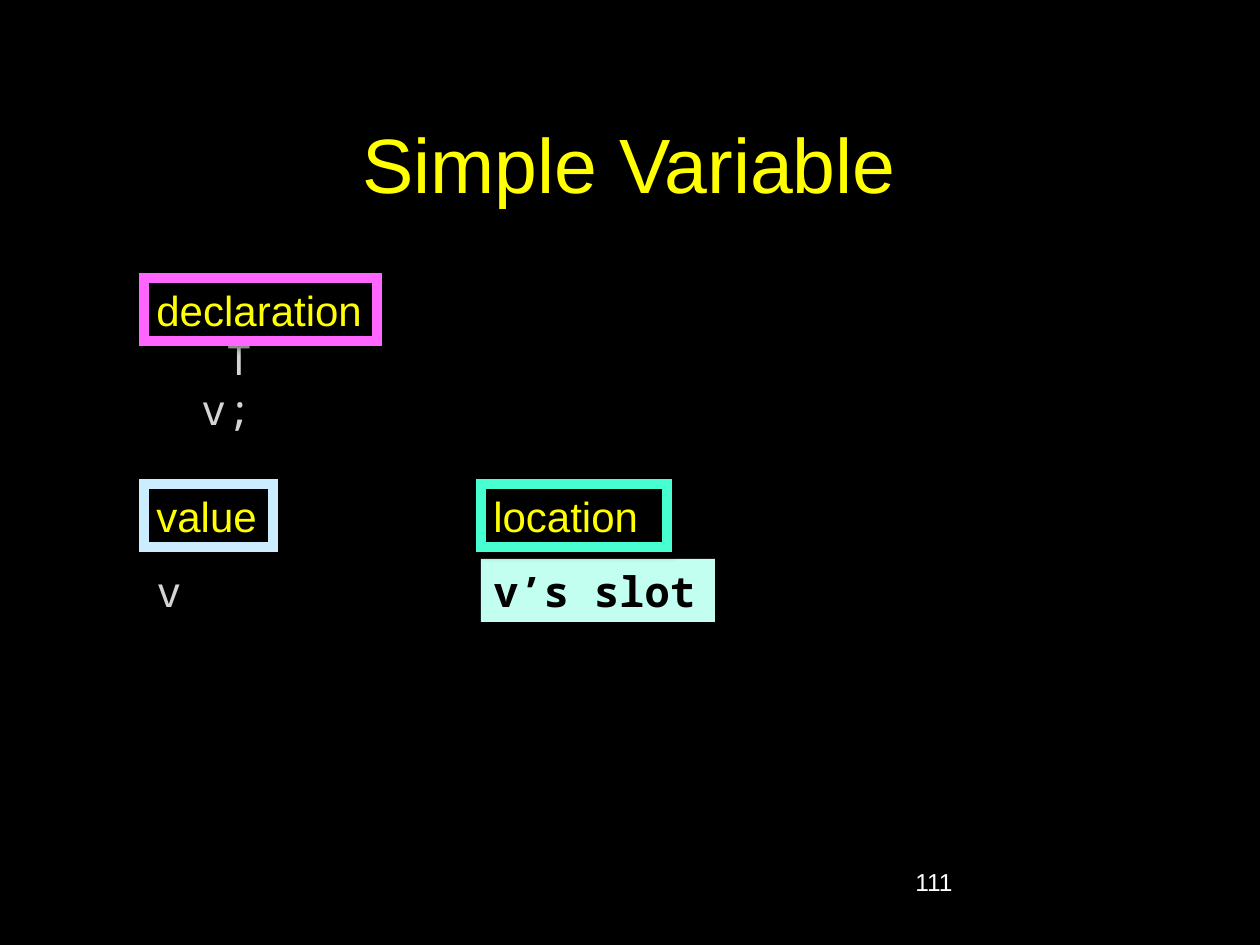
from dataclasses import dataclass

from lxml.etree import SubElement
from pptx import Presentation
from pptx.dml.color import RGBColor
from pptx.enum.shapes import MSO_SHAPE as Shape
from pptx.enum.text import MSO_ANCHOR as Anchor, PP_ALIGN as Align
from pptx.oxml import parse_xml
from pptx.oxml.ns import nsdecls, qn
from pptx.util import Emu, Pt

EMU_PER_PX = 914400 / 126


@dataclass(frozen=True)
class Theme:
    background: str = "000000"
    heading: str = "FFFF00"
    code: str = "D4D4D4"
    number: str = "FFFFFF"
    slot_fill: str = "C2FFF0"
    slot_text: str = "000000"
    declaration: str = "FF66FF"
    value: str = "CCECFF"
    location: str = "47FFD1"
    sans: str = "Arial"
    mono: str = "Noto Sans Mono"
    title_size: int = 44
    text_size: int = 24
    number_size: int = 14
    border: int = 6


THEME = Theme()
LEFT, RIGHT = 144, 481
DECLARATION_Y, DECLARATION_CODE_Y, HEADING_Y, CODE_Y = 278, 352, 484, 559
BOX_H = 63


@dataclass(frozen=True)
class Heading:
    text: str
    x: int
    y: int
    w: int
    border: str
    wrap: bool = True


@dataclass(frozen=True)
class Code:
    text: str
    x: int
    y: int
    w: int
    fill: str = THEME.background
    color: str = THEME.code
    bold: bool = False
    align: Align = Align.LEFT


CODES = [
    Code("v’s slot", RIGHT, CODE_Y, 234, THEME.slot_fill, THEME.slot_text, bold=True),
    Code("T v;", LEFT, DECLARATION_CODE_Y, 120, align=Align.RIGHT),
    Code("v", LEFT, CODE_Y, 58),
]
HEADINGS = [
    Heading("location", RIGHT, HEADING_Y, 186, THEME.location),
    Heading("declaration", LEFT, DECLARATION_Y, 233, THEME.declaration, wrap=False),
    Heading("value", LEFT, HEADING_Y, 129, THEME.value),
]


def px(n: int) -> Emu:
    return Emu(round(n * EMU_PER_PX))


def rgb(color: str) -> RGBColor:
    return RGBColor.from_string(color)


def write(tf, text: str, *, color: str, size: int = THEME.text_size,
          font: str = THEME.sans, bold: bool = False, align: Align = Align.LEFT,
          anchor: Anchor = Anchor.TOP, wrap: bool = True) -> None:
    tf.word_wrap = wrap
    tf.vertical_anchor = anchor
    p = tf.paragraphs[0]
    p.alignment = align
    r = p.add_run()
    r.text = text
    r.font.name = font
    r.font.size = Pt(size)
    r.font.bold = bold
    r.font.color.rgb = rgb(color)


def add_box(s, x: int, y: int, w: int, fill: str):
    sp = s.shapes.add_shape(Shape.RECTANGLE, px(x), px(y), px(w), px(BOX_H))
    sp.shadow.inherit = False
    sp.fill.solid()
    sp.fill.fore_color.rgb = rgb(fill)
    sp.line.fill.background()
    return sp


def add_shadow(sp) -> None:
    effects = sp._element.spPr.find(qn("a:effectLst"))
    effects.append(parse_xml(
        f'<a:outerShdw {nsdecls("a")} blurRad="{Pt(4)}" dist="{Pt(3)}" dir="2700000"'
        ' algn="tl" rotWithShape="0"><a:srgbClr val="000000">'
        '<a:alpha val="40000"/></a:srgbClr></a:outerShdw>'))


def draw_heading(s, h: Heading) -> None:
    sp = add_box(s, h.x, h.y, h.w, THEME.background)
    sp.line.color.rgb = rgb(h.border)
    sp.line.width = Pt(THEME.border)
    SubElement(sp.line._get_or_add_ln(), qn("a:miter"), lim="800000")
    add_shadow(sp)
    write(sp.text_frame, h.text, color=THEME.heading, wrap=h.wrap)


def draw_code(s, c: Code) -> None:
    sp = add_box(s, c.x, c.y, c.w, c.fill)
    write(sp.text_frame, c.text, color=c.color, font=THEME.mono, bold=c.bold,
          align=c.align, anchor=Anchor.MIDDLE)


def main() -> None:
    prs = Presentation()
    prs.slide_width, prs.slide_height = px(1260), px(945)
    s = prs.slides.add_slide(prs.slide_layouts[5])
    s.background.fill.solid()
    s.background.fill.fore_color.rgb = rgb(THEME.background)

    title = s.shapes.title
    title.left, title.top, title.width, title.height = map(px, (94, 84, 1071, 158))
    write(title.text_frame, "Simple Variable", color=THEME.heading,
          size=THEME.title_size, align=Align.CENTER, anchor=Anchor.MIDDLE)

    number = s.shapes.add_textbox(px(903), px(861), px(262), px(63))
    write(number.text_frame, "111", color=THEME.number, size=THEME.number_size)

    for c in CODES:
        draw_code(s, c)
    for h in HEADINGS:
        draw_heading(s, h)

    prs.save("out.pptx")


if __name__ == "__main__":
    main()
